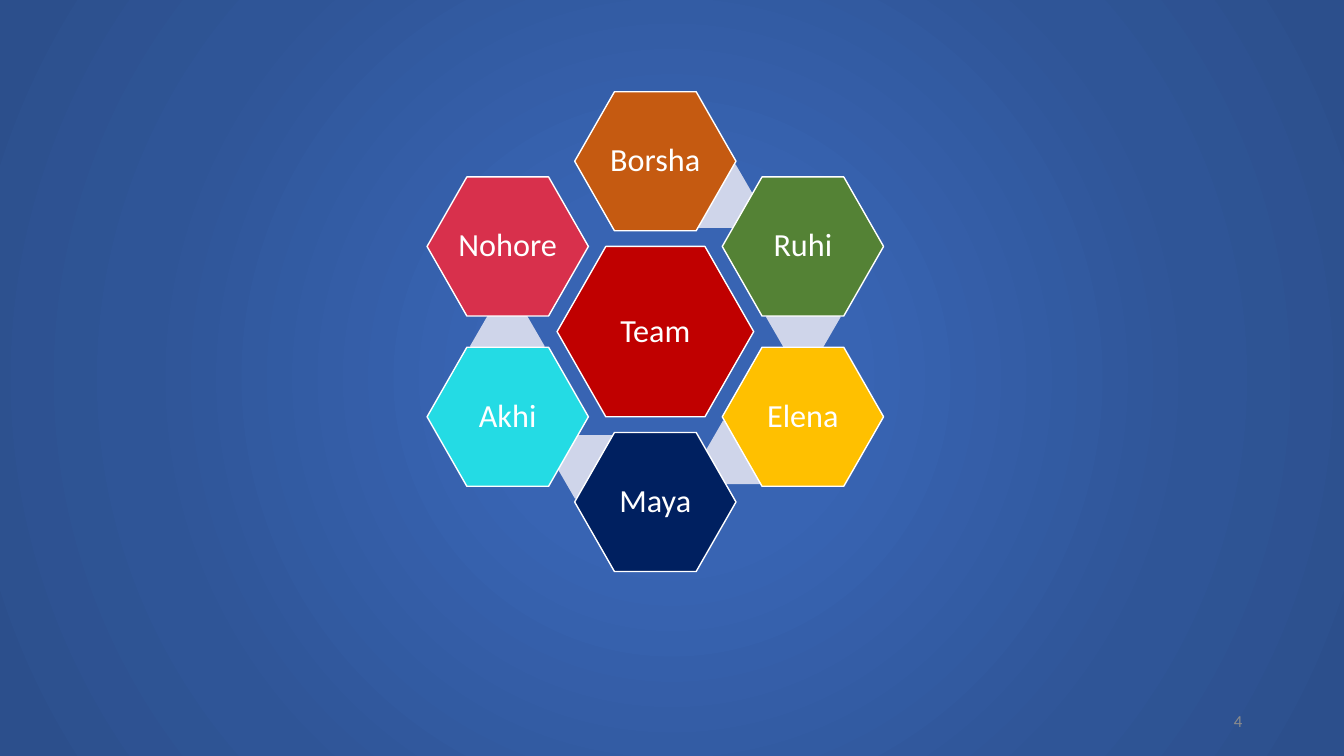
import math
from dataclasses import dataclass

import pptx
import pptx.dml.color
import pptx.enum.shapes
import pptx.enum.text
import pptx.oxml
import pptx.oxml.ns
import pptx.util
from pptx.util import Inches

FONT = "Calibri"
WHITE = "FFFFFF"
LINK_COLOR = "CFD5EA"
CENTER_X, CENTER_Y = 6.5, 3.29
MEMBER_RADIUS, LINK_RADIUS = 1.69, 1.475
LINK_LEAD = 24.4  # degrees clockwise from the member to its link
BACKGROUND_STOPS = [(0, "3864B3"), (23, "3864B3"), (69, "2F5597"), (97, "2C4F8C")]


@dataclass
class Member:
    name: str
    color: str
    has_link: bool = True


# Clockwise from the top
MEMBERS = [
    Member("Borsha", "C55A11"),
    Member("Ruhi", "548235"),
    Member("Elena", "FFC000"),
    Member("Maya", "002060"),
    Member("Akhi", "24DBE4"),
    Member("Nohore", "D8304C", has_link=False),
]


def rgb(color: str) -> pptx.dml.color.RGBColor:
    return pptx.dml.color.RGBColor.from_string(color)


def orbit(radius: float, degrees: float) -> tuple[float, float]:
    """Point around the team centre, clockwise from the top."""
    angle = math.radians(degrees)
    return CENTER_X + radius * math.sin(angle), CENTER_Y - radius * math.cos(angle)


def paint_background(slide) -> None:
    slide.background.fill.solid()
    solid = slide.background._cSld.bg.bgPr[0]
    stops = "".join(
        f'<a:gs pos="{percent * 1000}"><a:srgbClr val="{color}"/></a:gs>'
        for percent, color in BACKGROUND_STOPS
    )
    gradient = pptx.oxml.parse_xml(
        f'<a:gradFill {pptx.oxml.ns.nsdecls("a")} rotWithShape="1"><a:gsLst>{stops}</a:gsLst>'
        '<a:path path="circle"><a:fillToRect l="50000" t="50000" r="50000" b="50000"/></a:path>'
        "</a:gradFill>"
    )
    solid.getparent().replace(solid, gradient)


def write(shape, text: str, size: float, color: str, align) -> None:
    frame = shape.text_frame
    frame.text = text
    frame.vertical_anchor = pptx.enum.text.MSO_ANCHOR.MIDDLE
    paragraph = frame.paragraphs[0]
    paragraph.alignment = align
    font = paragraph.runs[0].font
    font.name, font.size = FONT, pptx.util.Pt(size)
    font.color.rgb = rgb(color)


def add_hexagon(slide, center: tuple[float, float], width: float, height: float,
                color: str, bevel: float = 0.286):
    x, y = center
    hexagon = slide.shapes.add_shape(
        pptx.enum.shapes.MSO_SHAPE.HEXAGON,
        Inches(x - width / 2), Inches(y - height / 2), Inches(width), Inches(height))
    hexagon.adjustments[0] = bevel
    hexagon.shadow.inherit = False
    hexagon.fill.solid()
    hexagon.fill.fore_color.rgb = rgb(color)
    hexagon.line.fill.background()
    return hexagon


def add_label_hexagon(slide, center: tuple[float, float], width: float, height: float,
                      color: str, label: str) -> None:
    hexagon = add_hexagon(slide, center, width, height, color)
    hexagon.line.color.rgb = rgb(WHITE)
    hexagon.line.width = pptx.util.Pt(1)
    write(hexagon, label, 23, WHITE, pptx.enum.text.PP_ALIGN.CENTER)
    frame = hexagon.text_frame
    frame.word_wrap = False
    frame.margin_left = frame.margin_right = Inches(0.03)
    frame.margin_top = frame.margin_bottom = Inches(0.03)
    frame.paragraphs[0].line_spacing = 0.9


def main() -> None:
    presentation = pptx.Presentation()
    presentation.slide_width, presentation.slide_height = Inches(13.33), Inches(7.5)
    slide = presentation.slides.add_slide(presentation.slide_layouts[6])
    paint_background(slide)

    # Team centre
    add_label_hexagon(slide, (CENTER_X, CENTER_Y), 1.95, 1.69, "C00000", "Team")

    # Ring of members, each above its link
    for index, member in enumerate(MEMBERS):
        degrees = index * 360 / len(MEMBERS)
        if member.has_link:
            add_hexagon(slide, orbit(LINK_RADIUS, degrees + LINK_LEAD),
                        0.74, 0.63, LINK_COLOR, 0.289)
        add_label_hexagon(slide, orbit(MEMBER_RADIUS, degrees),
                          1.6, 1.38, member.color, member.name)

    # Slide number
    number = slide.shapes.add_textbox(Inches(9.42), Inches(6.95), Inches(3), Inches(0.4))
    number.text_frame.word_wrap = True
    write(number, "4", 12, "8C8C8C", pptx.enum.text.PP_ALIGN.RIGHT)

    presentation.save("out.pptx")


if __name__ == "__main__":
    main()
